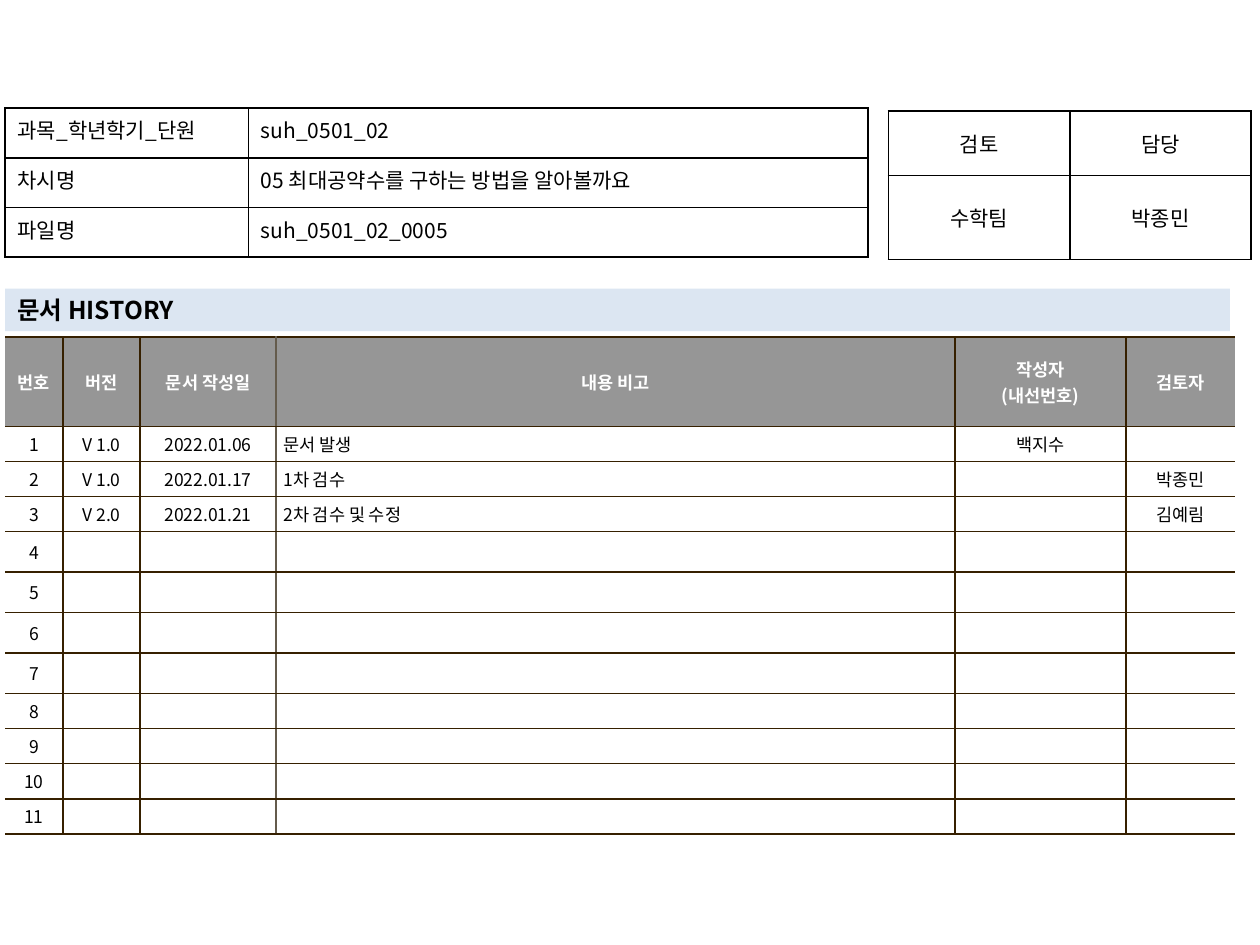
import pptx
import pptx.util
import pptx.dml.color
import pptx.enum.shapes
import pptx.enum.text
import pptx.oxml.ns
import lxml.etree

Pt = pptx.util.Pt
Rgb = pptx.dml.color.RGBColor.from_string
align = pptx.enum.text.PP_ALIGN
anchor = pptx.enum.text.MSO_ANCHOR
qn = pptx.oxml.ns.qn

face = "Noto Sans CJK KR"
hues = {
    "black": "000000",
    "white": "FFFFFF",
    "gray": "969696",
    "blue": "DCE6F2",
    "brown": "362000",
    "taupe": "645B4C",
}
looks = {
    "head": {"name": face, "size": Pt(10), "bold": True},
    "body": {"name": face, "size": Pt(10), "bold": False},
    "info": {"name": face, "size": Pt(12), "bold": False},
    "title": {"name": face, "size": Pt(14), "bold": True},
}


def write(frame, text, look, hue, side):
    for num, line in enumerate(text.split("\n")):
        para = frame.add_paragraph() if num else frame.paragraphs[0]
        para.alignment = side
        if not line:
            end = lxml.etree.SubElement(para._p, qn("a:endParaRPr"))
            end.set("sz", str(int(looks[look]["size"].pt * 100)))
            continue
        run = para.add_run()
        run.text = line
        run.font.color.rgb = Rgb(hues[hue])
        for key, val in looks[look].items():
            setattr(run.font, key, val)
        east = lxml.etree.SubElement(run._r.get_or_add_rPr(), qn("a:ea"))
        east.set("typeface", face)


def grid(left, top, cols, rows, pad, mid, fill, edges):
    frame = slide.shapes.add_table(
        len(rows), len(cols), Pt(left), Pt(top), Pt(sum(cols)), Pt(sum(rows)))
    table = frame.table
    table.first_row = table.horz_banding = False
    for col, wide in zip(table.columns, cols):
        col.width = Pt(wide)
    for row, high in zip(table.rows, rows):
        row.height = Pt(high)
        for num, cell in enumerate(row.cells):
            cell.margin_left = cell.margin_right = Pt(pad)
            cell.margin_top = cell.margin_bottom = Pt(pad / 2)
            cell.vertical_anchor = mid
            if fill:
                cell.fill.solid()
                cell.fill.fore_color.rgb = Rgb(hues[fill])
            else:
                cell.fill.background()
            props = cell._tc.get_or_add_tcPr()
            hue = edges[0]
            sides = [("L", edges[num + 1]), ("R", edges[num + 2]), ("T", hue), ("B", hue)]
            for spot, (side, hue) in enumerate(sides):
                line = lxml.etree.Element(qn("a:ln" + side), w="12700")
                if hue:
                    paint = lxml.etree.SubElement(line, qn("a:solidFill"))
                    lxml.etree.SubElement(paint, qn("a:srgbClr"), val=hues[hue])
                else:
                    lxml.etree.SubElement(line, qn("a:noFill"))
                props.insert(spot, line)
    return table


deck = pptx.Presentation()
deck.slide_width, deck.slide_height = Pt(720), Pt(540)
slide = deck.slides.add_slide(deck.slide_layouts[6])

heads = ["번호", "버전", "문서 작성일", "내용 비고", "작성자\n(내선번호)", "검토자"]
logs = [
    ["V 1.0", "2022.01.06", "문서 발생", "백지수", ""],
    ["V 1.0", "2022.01.17", "1차 검수", "", "박종민"],
    ["V 2.0", "2022.01.21", "2차 검수 및 수정", "", "김예림"],
]
logs += [[""] * 5] * 8
highs = [51] + [20.05] * 3 + [23.14] * 4 + [20.05] * 4
edges = ["brown", None, "brown", "brown", "taupe", "brown", "brown", None]
log = grid(2.9, 192.7, [33, 44.2, 77.6, 388, 97.8, 62.4], highs, 4.3, anchor.MIDDLE, "white", edges)
for cell, text in zip(log.rows[0].cells, heads):
    cell.fill.fore_color.rgb = Rgb(hues["gray"])
    write(cell.text_frame, text, "head", "white", align.CENTER)
for num, texts in enumerate(logs, 1):
    for col, text in enumerate([str(num)] + texts):
        frame = log.cell(num, col).text_frame
        write(frame, text, "body", "black", align.LEFT if col == 3 else align.CENTER)
        if col == 3:
            props = frame.paragraphs[0]._p.get_or_add_pPr()
            props.set("marL", str(Pt(13.5)))
            props.set("indent", str(Pt(-13.5)))

team = [["검토", "담당"], ["수학팀", "박종민"]]
sign = grid(507.6, 63.3, [103.7] * 2, [37, 48], 7.2, anchor.MIDDLE, None, ["black"] * 4)
for row, texts in zip(sign.rows, team):
    for cell, text in zip(row.cells, texts):
        write(cell.text_frame, text, "info", "black", align.CENTER)

bar = slide.shapes.add_shape(
    pptx.enum.shapes.MSO_SHAPE.RECTANGLE, Pt(2.9), Pt(165), Pt(700), Pt(24.2))
bar.shadow.inherit = False
bar.fill.solid()
bar.fill.fore_color.rgb = Rgb(hues["blue"])
bar.line.fill.background()
bar.text_frame.word_wrap = True
bar.text_frame.vertical_anchor = anchor.MIDDLE
write(bar.text_frame, "문서 HISTORY", "title", "black", align.LEFT)

facts = [
    ["과목_학년학기_단원", "suh_0501_02"],
    ["차시명", "05 최대공약수를 구하는 방법을 알아볼까요"],
    ["파일명", "suh_0501_02_0005"],
]
info = grid(2.9, 61.8, [139, 354], [28.4] * 3, 7.2, anchor.TOP, None, ["black"] * 4)
for row, texts in zip(info.rows, facts):
    for cell, text, side in zip(row.cells, texts, [align.JUSTIFY, align.LEFT]):
        write(cell.text_frame, text, "info", "black", side)

deck.save("out.pptx")
